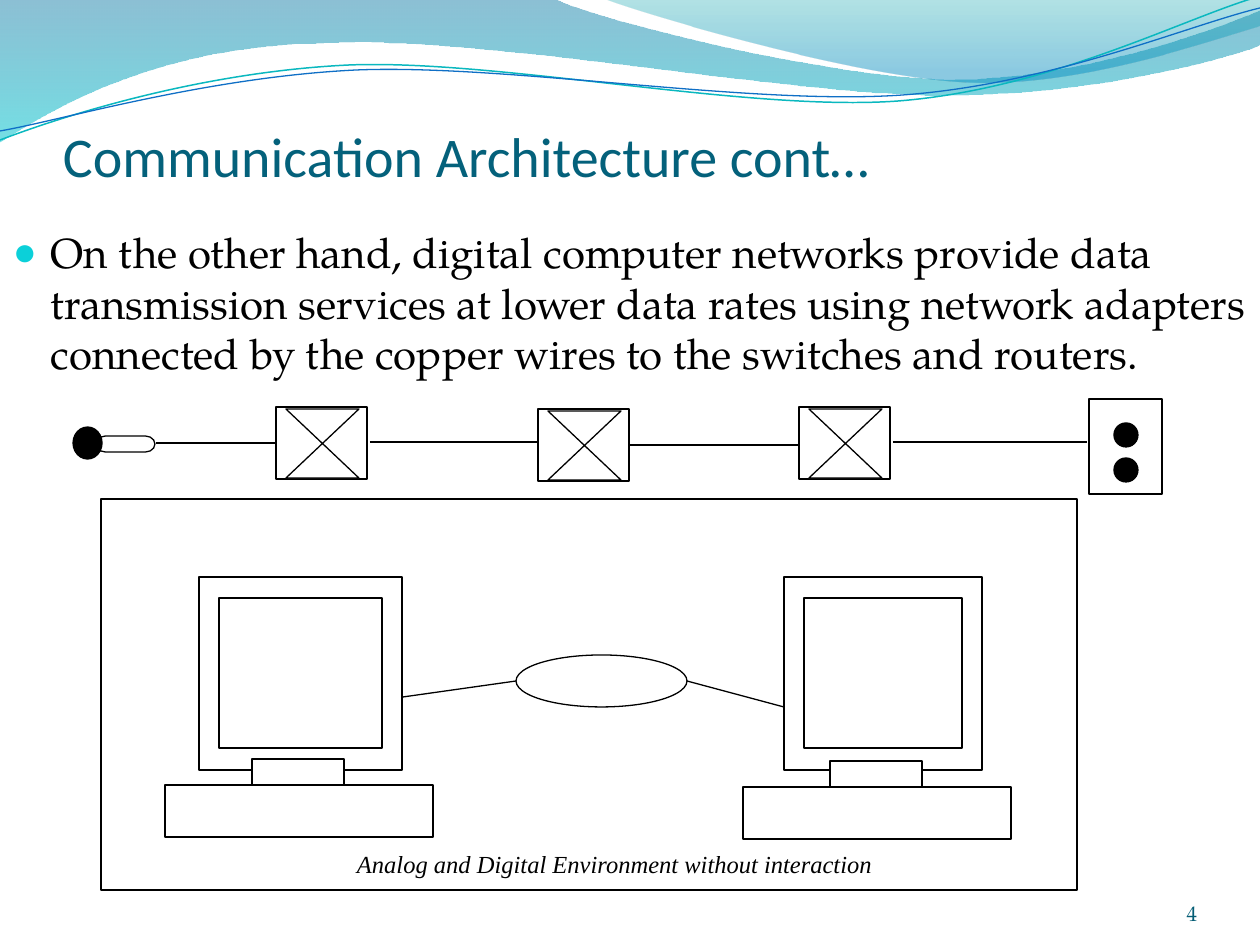
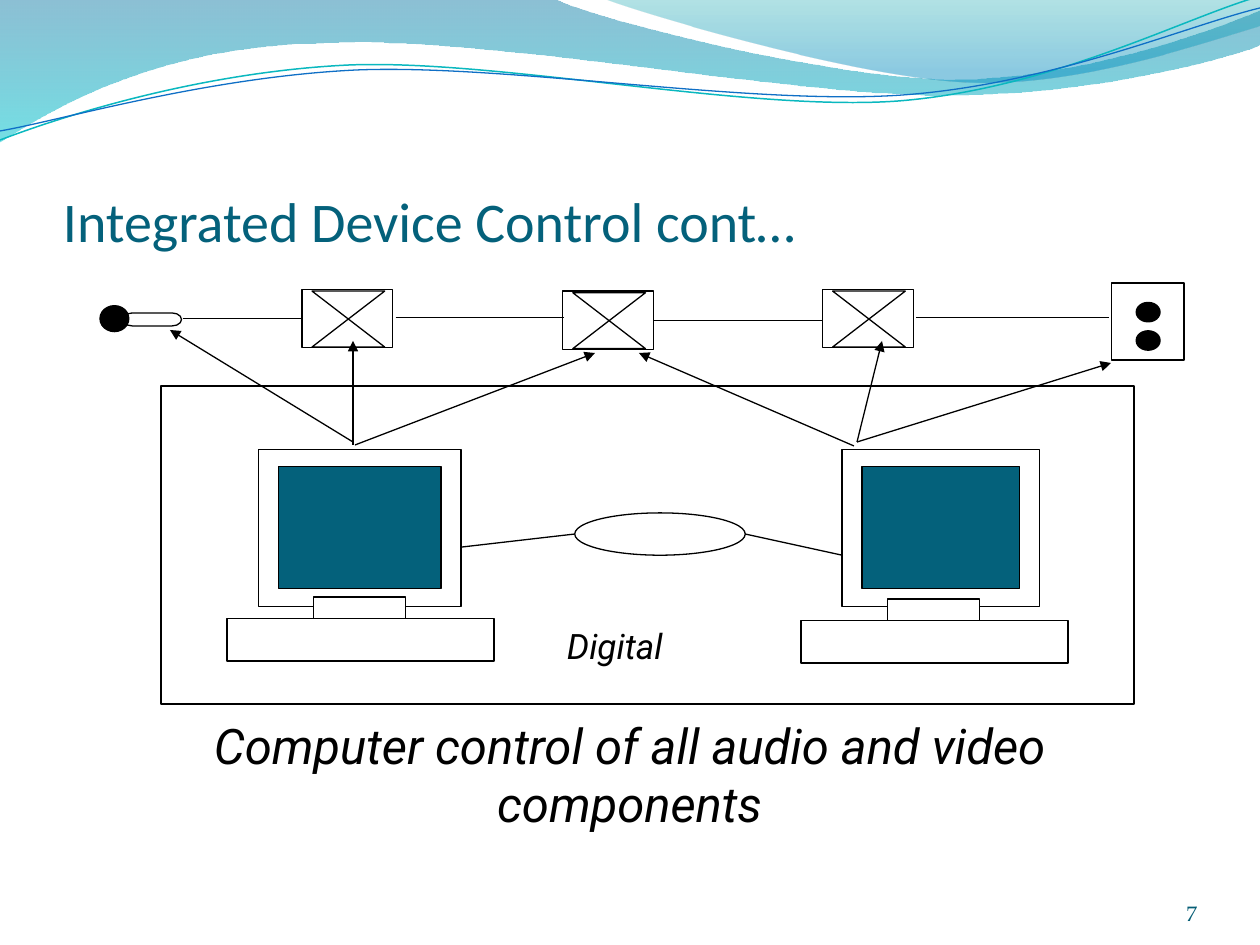
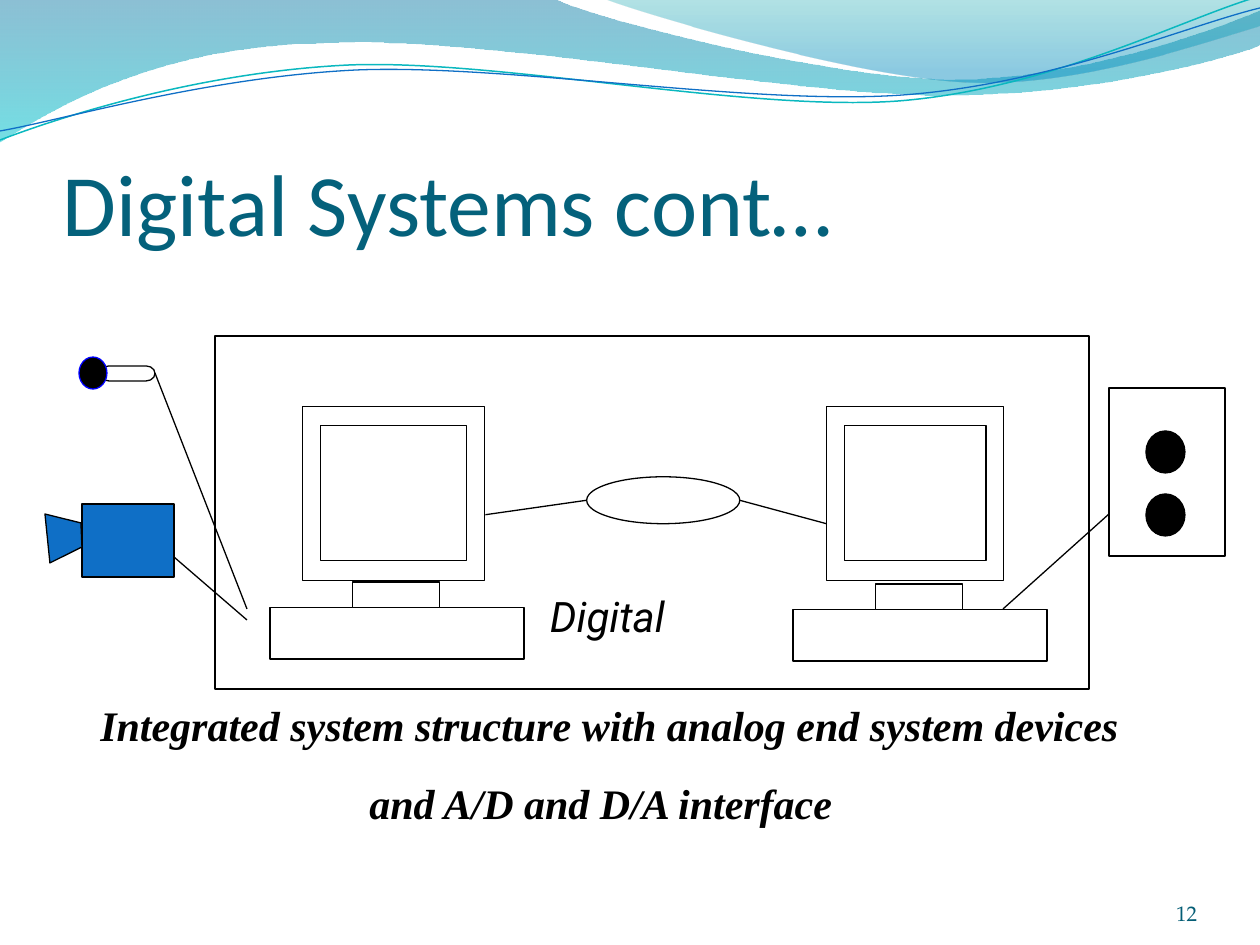
from lxml import etree
from pptx import Presentation
from pptx import util as u
from pptx.dml.color import RGBColor
from pptx.enum import shapes, text
from pptx.oxml.ns import qn

PX = 914400 / 126  # EMU in one px
C = {"black": "000000", "white": "FFFFFF", "title": "04617B", "number": "045D75",
     "bullet": "0BD0D9", "blue": "0F6FC6", "teal": "0AB8BF", "mic_rim": "0000FF",
     "band_top": "0074A1", "band_end": "00C6CF", "sheen_top": "00A1A9", "sheen_end": "008BBF"}
SERIF, BODY, SANS, HEAD = "Times New Roman", "TeX Gyre Pagella", "Roboto", "Calibri"
M = shapes.MSO_SHAPE
RECT, OVAL = M.RECTANGLE, M.OVAL
AL, ANC = text.PP_ALIGN, text.MSO_ANCHOR


def add_text(s, box, words, font, size, color="black", bold=False, italic=False,
             align=AL.LEFT, anchor=ANC.TOP, ins=(13, 6, 13, 6), wrap=True):
    tf = s.shapes.add_textbox(*[round(v * PX) for v in box]).text_frame
    tf.word_wrap, tf.vertical_anchor = wrap, anchor
    if not wrap:
        tf.auto_size = text.MSO_AUTO_SIZE.SHAPE_TO_FIT_TEXT
    tf.margin_left, tf.margin_top, tf.margin_right, tf.margin_bottom = [
        round(v * PX) for v in ins]
    p = tf.paragraphs[0]
    p.alignment = align
    r = p.add_run()
    r.text = words
    r.font.name, r.font.size = font, u.Pt(size)
    r.font.bold, r.font.italic = bold, italic
    r.font.color.rgb = RGBColor.from_string(C[color])
    return p


def style(sp, fill=None, line="black", width=0.75):
    sp.shadow.inherit = False
    if fill:
        sp.fill.solid()
        sp.fill.fore_color.rgb = RGBColor.from_string(C[fill])
    else:
        sp.fill.background()
    if line:
        sp.line.color.rgb = RGBColor.from_string(C[line])
        sp.line.width = u.Pt(width)
    else:
        sp.line.fill.background()


# Waves at the top: start, then segments (2 numbers: straight, 6: Bezier)
# Gradient stops are (position, colour, opacity in percent)
waves = [
    dict(start=(0, 0), segments=[
        (554, -1), (600, 21, 837, 79, 955, 79), (1075, 79, 1207, 33, 1260, 11),
        (1261, 45), (1239, 55, 1096, 96, 940, 95), (784, 95, 481, 35, 324, 43),
        (163, 45, 58, 105, -1, 142)],
        stops=[(0, "band_top", 45), (1, "band_end", 55)]),
    dict(start=(604, -1), segments=[
        (641, 14, 859, 78, 969, 82), (1079, 87, 1211, 40, 1260, 26), (1260, 0)],
        stops=[(0, "sheen_top", 30), (0.8, "sheen_end", 45)]),
    dict(start=(0, 140), segments=[
        (60, 117, 199, 72, 349, 65), (498, 59, 747, 112, 898, 101),
        (1050, 89, 1182, 19, 1257, -3)], line="teal", width=0.85),
    dict(start=(0, 131), segments=[
        (59, 121, 207, 77, 357, 70), (508, 64, 752, 106, 903, 95),
        (1053, 84, 1186, 26, 1260, 8)], line="blue", width=0.75),
]

# Drawings: parts are (kind, x, y, w, h, fill[, line]),
# lines are (x1, y1, x2, y2[, begin joint, end joint]), a joint is (part, side)
switches = [(203, 8), (465, 10), (726, 8)]
chain = dict(
    size=(1089, 95),
    parts=[(RECT, x, y, 91, 72, None) for x, y in switches]
    + [(M.FLOWCHART_COLLATE, x + 10, y + 2, 73, 69, "white") for x, y in switches]
    + [(M.FLOWCHART_TERMINATOR, 23, 37, 59, 16, "white"), (OVAL, 0, 28, 29, 32, "black"),
       (RECT, 1016, 0, 73, 95, "white")]
    + [(OVAL, 1041, y, 24, 24, "black") for y in (24, 59)],
    lines=[(83, 44, 204, 44, None, (0, 1)), (297, 43, 466, 43),
           (556, 46, 726, 46, (1, 3)), (820, 43, 1014, 43)])

computers = dict(
    size=(976, 391),
    parts=[(RECT, 0, 0, 976, 391, None),
           (RECT, 98, 78, 203, 193, None), (RECT, 118, 99, 163, 150, "screen"),
           (RECT, 683, 78, 198, 193, None), (RECT, 703, 99, 158, 150, "screen"),
           (OVAL, 415, 156, 171, 52, "white")],
    lines=[(302, 198, 415, 182), (586, 182, 683, 208)])

stand = dict(
    size=(268, 78), lines=[],
    parts=[(RECT, 0, 26, 268, 52, "white"), (RECT, 87, 0, 92, 26, "white")])

control_arrows = dict(
    size=(1260, 945), parts=[], arrow=True,
    lines=[(353, 445, 353, 341), (355, 445, 595, 353), (353, 442, 170, 330),
           (854, 446, 639, 353), (857, 442, 882, 341), (857, 442, 1111, 363)])

end_devices = dict(
    size=(1260, 945),
    parts=[(M.FLOWCHART_TERMINATOR, 100, 366, 55, 15, "white"),
           (OVAL, 79, 357, 28, 32, "black", "mic_rim"),
           (RECT, 1109, 388, 116, 168, "white"),
           (RECT, 82, 504, 92, 73, "blue")]
    + [(OVAL, 1146, y, 39, 42, "black") for y in (431, 494)],
    lines=[(155, 373, 247, 609), (1003, 609, 1109, 514), (174, 557, 247, 620)])

full = (0, 0, 1260, 945)
pages = [
    dict(number="4", title="Communication Architecture cont…", size=32, height=92,
         screen="white", drawings=[
             (chain, (73, 399, 1089, 95)), (computers, (101, 499, 976, 391)),
             (stand, (165, 759, 268, 78)), (stand, (743, 761, 268, 78))]),
    dict(number="7", title="Integrated Device Control cont…", size=32, height=157,
         screen="title", drawings=[
             (computers, (161, 386, 973, 318)), (stand, (227, 597, 267, 64)),
             (stand, (801, 599, 267, 64)), (chain, (100, 283, 1084, 77)),
             (control_arrows, full)]),
    dict(number="12", title="Digital Systems cont…", size=50, height=157,
         screen="white", drawings=[
             (computers, (215, 336, 874, 353)), (stand, (270, 582, 254, 77)),
             (stand, (793, 584, 254, 77)), (end_devices, full)]),
]

prs = Presentation()
prs.slide_width, prs.slide_height = u.Inches(10), u.Inches(7.5)

for page in pages:
    s = prs.slides.add_slide(prs.slide_layouts[6])

    # Waves: lay every point as a vertex, then join each Bezier's three into one curve
    for wave in waves:
        pts = [(v[i] * PX, v[i + 1] * PX) for v in [wave["start"]] + wave["segments"]
               for i in range(0, len(v), 2)]
        stops = wave.get("stops")
        fb = s.shapes.build_freeform(*pts[0])
        fb.add_line_segments(pts[1:], close=bool(stops))
        sp = fb.convert_to_shape()
        steps = iter(list(sp._element.spPr.iter(qn("a:lnTo"))))
        for seg in wave["segments"]:
            step = next(steps)
            if len(seg) == 6:
                curve = etree.Element(qn("a:cubicBezTo"))
                step.addprevious(curve)
                for vertex in (step, next(steps), next(steps)):
                    curve.append(vertex[0])
                    vertex.getparent().remove(vertex)
        style(sp, None, wave.get("line"), wave.get("width"))
        if stops:
            sp.fill.gradient()
            sp.fill.gradient_angle = 270
            for stop, (position, color, opacity) in zip(sp.fill.gradient_stops, stops):
                stop.position = position
                stop.color.rgb = RGBColor.from_string(C[color])
            for clr, (position, color, opacity) in zip(
                    sp._element.spPr.iter(qn("a:srgbClr")), stops):
                etree.SubElement(clr, qn("a:alpha")).set("val", str(opacity * 1000))

    # Title and slide number
    add_text(s, (63, 97, 1134, page["height"]), page["title"], HEAD, page["size"],
             color="title", anchor=ANC.BOTTOM, ins=(0, 6, 0, 0))
    add_text(s, (1092, 876, 105, 50), page["number"], BODY, 12, color="number",
             align=AL.RIGHT, anchor=ANC.BOTTOM, ins=(0, 0, 0, 0))

    # Drawings, each fitted to its box
    for drawing, (left, top, width, height) in page["drawings"]:
        sx = width / drawing["size"][0] * PX
        sy = height / drawing["size"][1] * PX
        ox, oy = left * PX, top * PX
        placed = []
        for kind, x, y, w, h, fill, *line in drawing["parts"]:
            sp = s.shapes.add_shape(kind, round(ox + x * sx), round(oy + y * sy),
                                    round(w * sx), round(h * sy))
            style(sp, page["screen"] if fill == "screen" else fill, *line)
            placed.append(sp)
        for x1, y1, x2, y2, *joints in drawing["lines"]:
            cn = s.shapes.add_connector(
                shapes.MSO_CONNECTOR.STRAIGHT, round(ox + x1 * sx), round(oy + y1 * sy),
                round(ox + x2 * sx), round(oy + y2 * sy))
            for join, joint in zip((cn.begin_connect, cn.end_connect), joints):
                if joint:
                    join(placed[joint[0]], joint[1])
            cn.line.color.rgb = RGBColor.from_string(C["black"])
            cn.line.width = u.Pt(0.75)
            if drawing.get("arrow"):
                etree.SubElement(cn.line._get_or_add_ln(), qn("a:tailEnd")).set(
                    "type", "triangle")
            etree.SubElement(cn._element.spPr, qn("a:effectLst"))

first, second, third = prs.slides

# Slide 4: bulleted text and caption
p = add_text(first, (0, 221, 1260, 595),
             "On the other hand, digital computer networks provide data transmission "
             "services at lower data rates using network adapters connected by the copper "
             "wires to the switches and routers.", BODY, 24)
p.space_before = u.Pt(5)
pPr = p._p.get_or_add_pPr()
pPr.set("marL", str(round(38 * PX)))
pPr.set("indent", str(round(-38 * PX)))
clr = etree.SubElement(pPr, qn("a:buClr"))
etree.SubElement(clr, qn("a:srgbClr")).set("val", C["bullet"])
for tag, key, value in (("a:buSzPct", "val", "95000"), ("a:buFont", "typeface", SERIF),
                        ("a:buChar", "char", "●")):
    etree.SubElement(pPr, qn(tag)).set(key, value)
add_text(first, (344, 843, 544, 42), "Analog and Digital Environment without interaction",
         SERIF, 14, italic=True, wrap=False)

# Slide 7: label and caption
add_text(second, (554, 619, 151, 76), "Digital", SANS, 20, italic=True)
add_text(second, (73, 709, 1113, 69), "Computer control of all audio and video components",
         SANS, 28, italic=True, align=AL.CENTER)

# Slide 12: label, caption with a tall closing space, camera lens
add_text(third, (537, 585, 144, 91), "Digital", SANS, 24, italic=True)
p = add_text(third, (79, 693, 1061, 83),
             "Integrated system structure with analog end system devices "
             "and A/D and D/A interface", SERIF, 24, bold=True, italic=True, align=AL.CENTER)
r = p.add_run()
r.text = " "
r.font.name, r.font.size = SERIF, u.Pt(40)
lens = [(x * PX, y * PX) for x, y in ((50, 563), (82, 547), (81, 523), (45, 514))]
fb = third.shapes.build_freeform(*lens[0])
fb.add_line_segments(lens[1:])
style(fb.convert_to_shape(), "blue")

prs.save("out.pptx")
